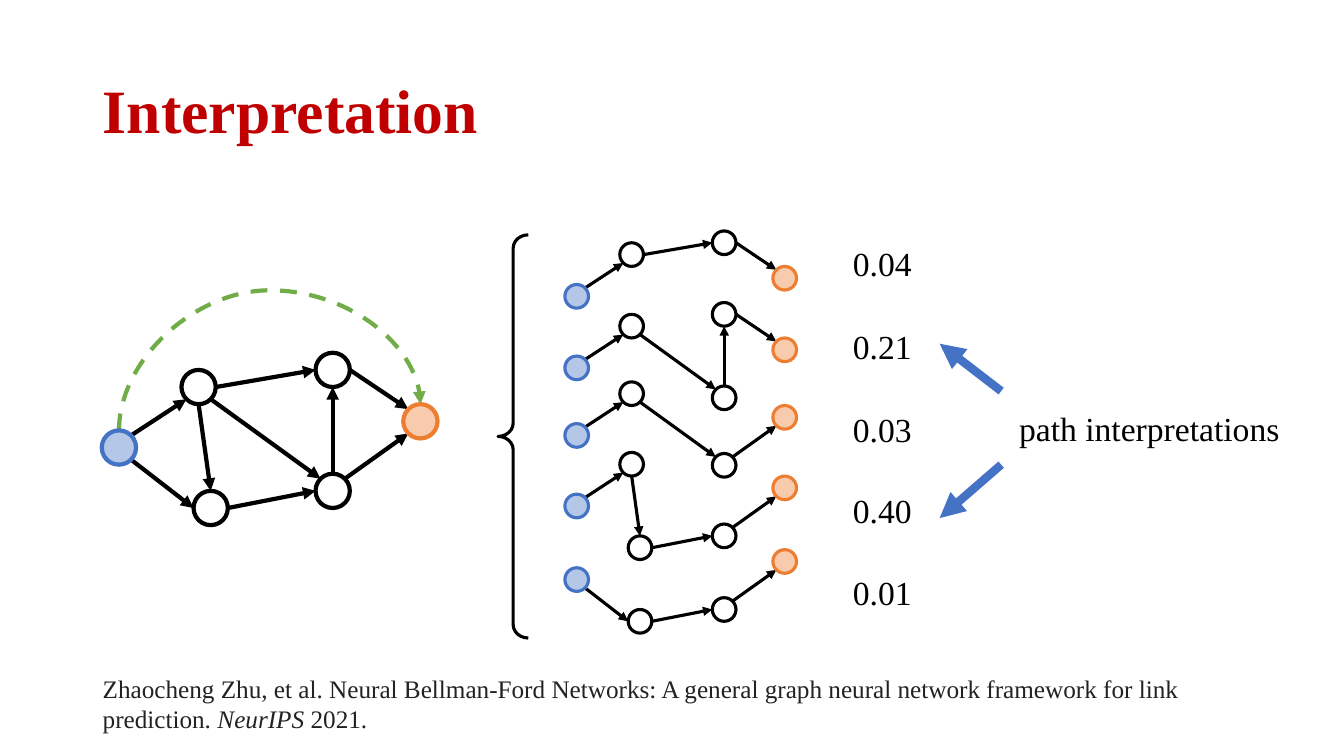
"""Build the slide on path interpretations of a link prediction graph."""
from lxml import etree
from pptx import Presentation
from pptx.dml.color import RGBColor
from pptx.enum.dml import MSO_LINE
from pptx.enum.shapes import MSO_CONNECTOR, MSO_SHAPE
from pptx.enum.text import MSO_ANCHOR, PP_ALIGN
from pptx.oxml.ns import qn
from pptx.util import Inches, Pt

STRAIGHT, CURVE = MSO_CONNECTOR.STRAIGHT, MSO_CONNECTOR.CURVE
OVAL, BRACE = MSO_SHAPE.OVAL, MSO_SHAPE.LEFT_BRACE
DASH, MIDDLE, LEFT = MSO_LINE.DASH, MSO_ANCHOR.MIDDLE, PP_ALIGN.LEFT

FONT = "Times New Roman"
COLORS = {"title": "C00000", "text": "000000", "citation": "222222", "edge": "000000",
          "query": "70AD47", "pointer": "4472C4", "white": "FFFFFF",
          "source": "4472C4", "source fill": "B4C7E7",
          "target": "ED7D31", "target fill": "F8CBAD"}

TITLE = "Interpretation"
CAPTION = "path interpretations"
CITATION = [("Zhaocheng Zhu, et al. Neural Bellman-Ford Networks: A general graph neural "
             "network framework for link prediction. ", False),
            ("NeurIPS", True), (" 2021.", False)]

NODES = {"u": (0, 0), "a": (0.79, -0.6), "b": (2.12, -0.77),
         "c": (0.91, 0.6), "d": (2.12, 0.43), "v": (2.99, -0.26)}
NODE_STYLES = {"u": ("source fill", "source"), "v": ("target fill", "target"),
               "a": (None, "edge")}
EDGES = {"ua": ("NE", "SW"), "ab": ("E", "W"), "ac": ("S", "N"), "ad": ("SE", "NW"),
         "uc": ("SE", "W"), "cd": ("E", "W"), "db": ("N", "S"), "dv": ("NE", "SW"),
         "bv": ("E", "NW")}
DIAGONAL = 0.71
SITES = {"N": (0, -1), "S": (0, 1), "E": (1, 0), "W": (-1, 0),
         "NE": (DIAGONAL, -DIAGONAL), "NW": (-DIAGONAL, -DIAGONAL),
         "SE": (DIAGONAL, DIAGONAL), "SW": (-DIAGONAL, DIAGONAL)}

GRAPH_X, GRAPH_Y, RADIUS, ARC_TOP = 1.18, 4.44, 0.17, 2.88
PATH_X, PATH_SCALE = 5.72, 0.69
PATHS = [("uabv", 2.94, "0.04", 2.36), ("uadbv", 3.65, "0.21", 3.18),
         ("uadv", 4.32, "0.03", 4.01), ("uacdv", 5.02, "0.40", 4.81),
         ("ucdv", 5.75, "0.01", 5.62)]
POINTERS = [((9.93, 4.61), (9.32, 5.14)), ((9.93, 3.88), (9.32, 3.41))]


def color(name):
    return RGBColor.from_string(COLORS[name])


def add_arrow(shapes, kind, start, end, name, width):
    line = shapes.add_connector(kind, *map(Inches, start + end))
    line.line.color.rgb = color(name)
    line.line.width = Pt(width)
    etree.SubElement(line.line._get_or_add_ln(), qn("a:tailEnd"), type="triangle")
    etree.SubElement(line._element.spPr, qn("a:effectLst"))
    return line


def add_graph(s, x, y, scale, width, nodes, edges):
    shapes = s.shapes.add_group_shape().shapes
    radius = RADIUS * scale

    def point(node, site=None):
        dx, dy = SITES.get(site, (0, 0))
        return (x + NODES[node][0] * scale + dx * radius,
                y + NODES[node][1] * scale + dy * radius)

    for edge in edges:
        start, end = (point(*pair) for pair in zip(edge, EDGES[edge]))
        add_arrow(shapes, STRAIGHT, start, end, "edge", width)
    for node in nodes:
        cx, cy = point(node)
        sp = shapes.add_shape(OVAL, Inches(cx - radius), Inches(cy - radius),
                              Inches(2 * radius), Inches(2 * radius))
        fill, outline = NODE_STYLES.get(node, ("white", "edge"))
        if fill:
            sp.fill.solid()
            sp.fill.fore_color.rgb = color(fill)
        else:
            sp.fill.background()
        sp.line.color.rgb = color(outline)
        sp.line.width = Pt(width)
        sp.shadow.inherit = False


def add_query_arc(s):
    (ux, uy), (vx, vy) = NODES["u"], NODES["v"]
    x1, y1 = GRAPH_X + ux, GRAPH_Y + uy - RADIUS
    x2, y2 = GRAPH_X + vx, GRAPH_Y + vy - RADIUS
    cx, cy, half_w, half_h = (x1 + x2) / 2, (y1 + y2) / 2, (y1 - y2) / 2, (x2 - x1) / 2
    arc = add_arrow(s.shapes, CURVE, (cx + half_w, cy + half_h),
                    (cx - half_w, cy - half_h), "query", 3)
    arc.line.dash_style = DASH
    arc._element.spPr.find(qn("a:xfrm")).set("rot", "5400000")
    guides = arc._element.spPr.find(qn("a:prstGeom")).get_or_add_avLst()
    bend = round((y1 - ARC_TOP) / (y1 - y2) * 100000)
    etree.SubElement(guides, qn("a:gd"), name="adj1", fmla=f"val {bend}")


def format_run(r, size, name):
    r.font.name, r.font.size, r.font.color.rgb = FONT, Pt(size), color(name)


def add_text(s, box, runs, size, name):
    tf = s.shapes.add_textbox(*map(Inches, box)).text_frame
    tf.word_wrap = True
    for text, italic in runs:
        r = tf.paragraphs[0].add_run()
        r.text = text
        r.font.italic = italic
        format_run(r, size, name)


def main():
    prs = Presentation()
    prs.slide_width, prs.slide_height = Inches(13.33), Inches(7.5)
    s = prs.slides.add_slide(prs.slide_layouts[5])

    title = s.shapes.title
    title.left, title.top, title.width, title.height = map(Inches, (0.92, 0.4, 11.5, 1.45))
    tf = title.text_frame
    tf.text = TITLE
    tf.vertical_anchor = MIDDLE
    p = tf.paragraphs[0]
    p.alignment, p.line_spacing = LEFT, 0.9
    format_run(p.runs[0], 44, "title")
    p.runs[0].font.bold = True

    add_query_arc(s)
    add_graph(s, GRAPH_X, GRAPH_Y, 1, 3, NODES, EDGES)

    brace = s.shapes.add_shape(BRACE, *map(Inches, (4.94, 2.33, 0.3, 4)))
    brace.adjustments[0] = 0.44
    brace.fill.background()
    brace.line.color.rgb = color("edge")
    brace.line.width = Pt(2.25)
    brace.shadow.inherit = False

    for nodes, y, score, score_top in PATHS:
        edges = [a + b for a, b in zip(nodes, nodes[1:])]
        add_graph(s, PATH_X, y, PATH_SCALE, 2.25, nodes, edges)
        add_text(s, (8.36, score_top, 1.32, 0.5), [(score, False)], 24, "text")

    add_text(s, (10.01, 4, 2.93, 0.5), [(CAPTION, False)], 24, "text")
    for start, end in POINTERS:
        add_arrow(s.shapes, STRAIGHT, start, end, "pointer", 6)
    add_text(s, (0.92, 6.63, 11.88, 0.71), CITATION, 18, "citation")
    prs.save("out.pptx")


if __name__ == "__main__":
    main()
